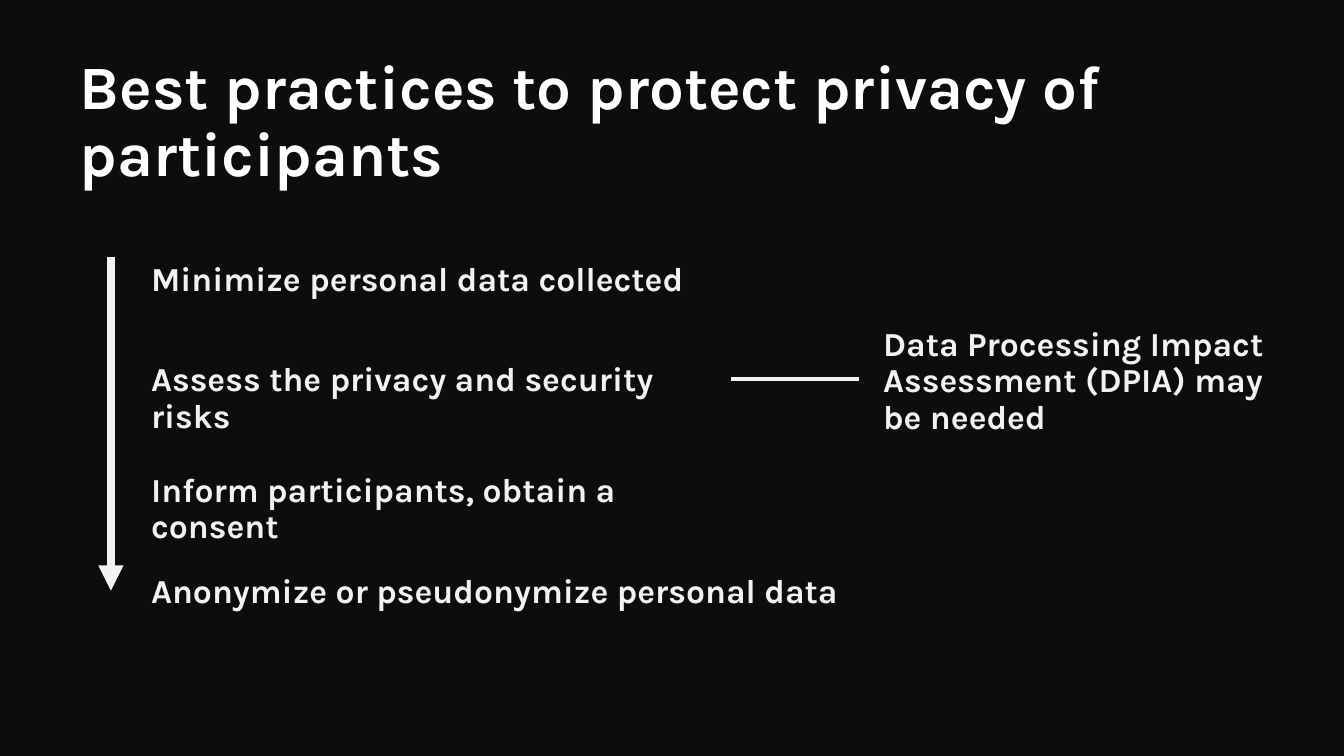
import pptx
import pptx.util
import pptx.dml.color
import pptx.enum.shapes
import pptx.enum.text
import pptx.oxml
import pptx.oxml.ns

Inches = pptx.util.Inches
COLORS = {"background": "0D0D0D", "title": "FFFFFF", "body": "F2F2F2"}
FONT = "Karla"
TITLE = "Best practices to protect privacy of participants"
PRACTICES = [
    ("Minimize personal data collected", 2.55, 6.15, 0.58),
    ("Assess the privacy and security risks", 3.55, 6, 0.58),
    ("Inform participants, obtain a consent", 4.65, 6.15, 0.44),
    ("Anonymize or pseudonymize personal data", 5.65, 7.93, 0.44),
]
PRACTICE_LEFT = 1.4
NOTE = ("Data Processing Impact Assessment (DPIA) may be needed", 8.66, 3.2, 3.98, 1.29)
SEQUENCE_ARROW = (1.1, 2.55, 1.1, 5.86)
NOTE_LINE = (7.25, 3.76, 8.52, 3.76)


def rgb(name):
    return pptx.dml.color.RGBColor.from_string(COLORS[name])


def write_text(shape, text, size, color):
    frame = shape.text_frame
    frame.text = text
    frame.word_wrap = True
    frame.auto_size = pptx.enum.text.MSO_AUTO_SIZE.NONE
    frame.vertical_anchor = pptx.enum.text.MSO_ANCHOR.TOP
    paragraph = frame.paragraphs[0]
    paragraph.alignment = pptx.enum.text.PP_ALIGN.LEFT
    paragraph.line_spacing = 0.9
    paragraph.space_before = pptx.util.Pt(0)
    font = paragraph.runs[0].font
    font.name = FONT
    font.size = pptx.util.Pt(size)
    font.bold = True
    font.color.rgb = rgb(color)


def add_label(slide, text, left, top, width, height):
    shape = slide.shapes.add_textbox(*map(Inches, (left, top, width, height)))
    write_text(shape, text, 24, "body")


def add_line(slide, ends, width, arrow=False):
    connector = slide.shapes.add_connector(
        pptx.enum.shapes.MSO_CONNECTOR.STRAIGHT, *map(Inches, ends))
    connector.line.color.rgb = rgb("body")
    connector.line.width = pptx.util.Pt(width)
    if arrow:
        head = pptx.oxml.parse_xml(
            f'<a:tailEnd {pptx.oxml.ns.nsdecls("a")} type="triangle"/>')
        connector.line._get_or_add_ln().append(head)
    connector._element.spPr.append(
        pptx.oxml.parse_xml(f'<a:effectLst {pptx.oxml.ns.nsdecls("a")}/>'))


def main():
    presentation = pptx.Presentation()
    presentation.slide_width = Inches(13.33)
    presentation.slide_height = Inches(7.5)
    slide = presentation.slides.add_slide(presentation.slide_layouts[5])
    slide.background.fill.solid()
    slide.background.fill.fore_color.rgb = rgb("background")

    title = slide.shapes.title
    title.left, title.top = Inches(0.69), Inches(0.51)
    title.width, title.height = Inches(11.02), Inches(1.54)
    write_text(title, TITLE, 44, "title")

    for text, top, width, height in PRACTICES:
        add_label(slide, text, PRACTICE_LEFT, top, width, height)
    add_line(slide, SEQUENCE_ARROW, 6, arrow=True)
    add_label(slide, *NOTE)
    add_line(slide, NOTE_LINE, 2.25)
    presentation.save("out.pptx")


if __name__ == "__main__":
    main()
